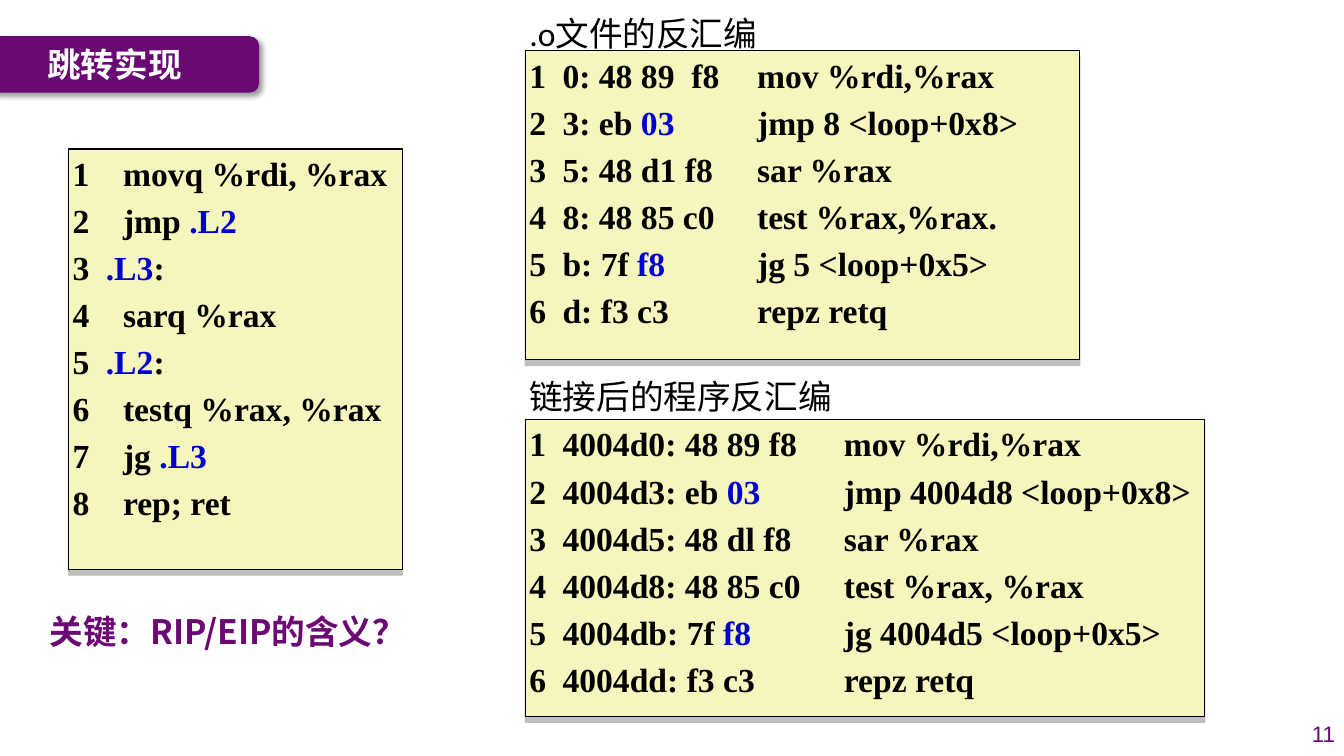
from lxml.etree import SubElement
from pptx import Presentation
from pptx.dml.color import RGBColor
from pptx.enum.shapes import MSO_SHAPE
from pptx.enum.text import MSO_ANCHOR, PP_ALIGN
from pptx.oxml.ns import qn
from pptx.util import Inches, Pt

PURPLE, BLACK, WHITE = "6A0874", "000000", "FFFFFF"
CREAM, BLUE = "F6F5BD", "0000CC"
CJK_FONT, CODE_FONT = "Noto Sans CJK SC", "Times New Roman"


def colour(value):
    return RGBColor.from_string(value)


class SlideBuilder:
    """Holds the style and the current slide."""

    def __init__(self, page, size=24, inset=0.04):
        self.page = page
        self.size = size
        self.inset = inset

    def style(self, span, font, fill, bold=False, size=None):
        span.font.size = Pt(size or self.size)
        span.font.bold = bold
        span.font.color.rgb = colour(fill)
        span.font.name = font
        SubElement(span.font._element, qn("a:ea"), typeface=CJK_FONT)

    def set_frame(self, box, inset, anchor=MSO_ANCHOR.TOP):
        frame = box.text_frame
        frame.word_wrap = True
        frame.vertical_anchor = anchor
        if inset is not None:
            frame.margin_left = frame.margin_right = Inches(inset)
            frame.margin_top = frame.margin_bottom = Inches(inset)
        return frame

    def panel(self, preset, area, fill, line=None):
        box = self.page.shapes.add_shape(preset, *map(Inches, area))
        box.shadow.inherit = False
        box.fill.solid()
        box.fill.fore_color.rgb = colour(fill)
        if line:
            box.line.color.rgb = colour(line)
            box.line.width = Pt(1)
        else:
            box.line.fill.background()
        return box

    def shadow(self, box, tint, opacity, blur, distance, angle):
        effects = box._element.spPr.find(qn("a:effectLst"))
        outer = SubElement(effects, qn("a:outerShdw"), blurRad=str(Pt(blur)),
                           dist=str(Pt(distance)), dir=str(angle * 60000),
                           algn="ctr", rotWithShape="0")
        tint_node = SubElement(outer, qn("a:srgbClr"), val=tint)
        SubElement(tint_node, qn("a:alpha"), val=str(opacity * 1000))

    def label(self, text, area, font, fill, bold=False, size=None, inset=None,
              before=0, anchor=MSO_ANCHOR.TOP, align=PP_ALIGN.LEFT):
        box = self.page.shapes.add_textbox(*map(Inches, area))
        frame = self.set_frame(box, inset, anchor)
        frame.text = text
        para = frame.paragraphs[0]
        para.alignment = align
        para.space_before = Pt(before)
        self.style(para.runs[0], font, fill, bold, size)

    def caption(self, text, area, font="Calibri", fill=BLACK, bold=False):
        self.label(text, area, font, fill, bold, inset=self.inset, before=8.6)

    def code(self, lines, area, stops):
        """Number the lines; text between bars is blue, tabs make columns."""
        box = self.panel(MSO_SHAPE.RECTANGLE, area, CREAM, BLACK)
        self.shadow(box, "808080", 50, 0, 4, 90)
        frame = self.set_frame(box, self.inset)
        for number, line in enumerate(lines, 1):
            para = frame.paragraphs[0] if number == 1 else frame.add_paragraph()
            para.alignment = PP_ALIGN.LEFT
            properties = para._p.get_or_add_pPr()
            before = SubElement(properties, qn("a:spcBef"))
            SubElement(before, qn("a:spcPct"), val="20000")
            tabs = SubElement(properties, qn("a:tabLst"))
            for stop in stops:
                SubElement(tabs, qn("a:tab"), pos=str(Inches(stop)), algn="l")
            for index, text in enumerate(f"{number}\t{line}".split("|")):
                if text:
                    span = para.add_run()
                    span.text = text
                    self.style(span, CODE_FONT, BLUE if index % 2 else BLACK, True)


def main():
    deck = Presentation()
    deck.slide_width, deck.slide_height = Inches(13.33), Inches(7.5)
    builder = SlideBuilder(deck.slides.add_slide(deck.slide_layouts[6]))

    # Assembly source
    builder.code(["\tmovq %rdi, %rax", "\tjmp |.L2", "|.L3|:", "\tsarq %rax",
                  "|.L2|:", "\ttestq %rax, %rax", "\tjg |.L3", "\trep; ret"],
                 (0.68, 1.48, 3.31, 4.17), (0.33, 0.5))

    # Object file disassembly
    builder.code(["0: 48 89  f8\tmov %rdi,%rax",
                  "3: eb |03|\tjmp 8 <loop+0x8>",
                  "5: 48 d1 f8\tsar %rax",
                  "8: 48 85 c0\ttest %rax,%rax.",
                  "b: 7f |f8|\tjg 5 <loop+0x5>",
                  "d: f3 c3\trepz retq"],
                 (5.21, 0.5, 5.5, 3.07), (0.33, 2.26))
    builder.caption(".o文件的反汇编", (5.21, 0.09, 2.53, 0.49))

    # Linked program disassembly
    builder.code(["4004d0: 48 89 f8\tmov %rdi,%rax",
                  "4004d3: eb |03|\tjmp 4004d8 <loop+0x8>",
                  "4004d5: 48 dl f8\tsar %rax",
                  "4004d8: 48 85 c0\ttest %rax, %rax",
                  "4004db: 7f |f8|\tjg 4004d5 <loop+0x5>",
                  "4004dd: f3 c3\trepz retq"],
                 (5.21, 4.16, 6.74, 2.95), (0.33, 3.12))
    builder.caption("链接后的程序反汇编", (5.21, 3.69, 3.37, 0.49))

    # Key question and page number
    builder.caption("关键：RIP/EIP的含义？", (0.45, 6.02, 3.78, 0.89),
                    CJK_FONT, "6B0874", True)
    builder.label("11", (12.79, 7.1, 0.55, 0.35), "Arial", PURPLE, size=16,
                  anchor=MSO_ANCHOR.MIDDLE, align=PP_ALIGN.RIGHT)

    # Title tab
    tab = builder.panel(MSO_SHAPE.ROUNDED_RECTANGLE, (-0.11, 0.36, 2.68, 0.56), PURPLE)
    builder.shadow(tab, BLACK, 40, 4, 3, 45)
    builder.label("跳转实现", (0.37, 0.36, 2.09, 0.55), CJK_FONT, WHITE, True,
                  anchor=MSO_ANCHOR.MIDDLE)

    deck.save("out.pptx")


if __name__ == "__main__":
    main()
